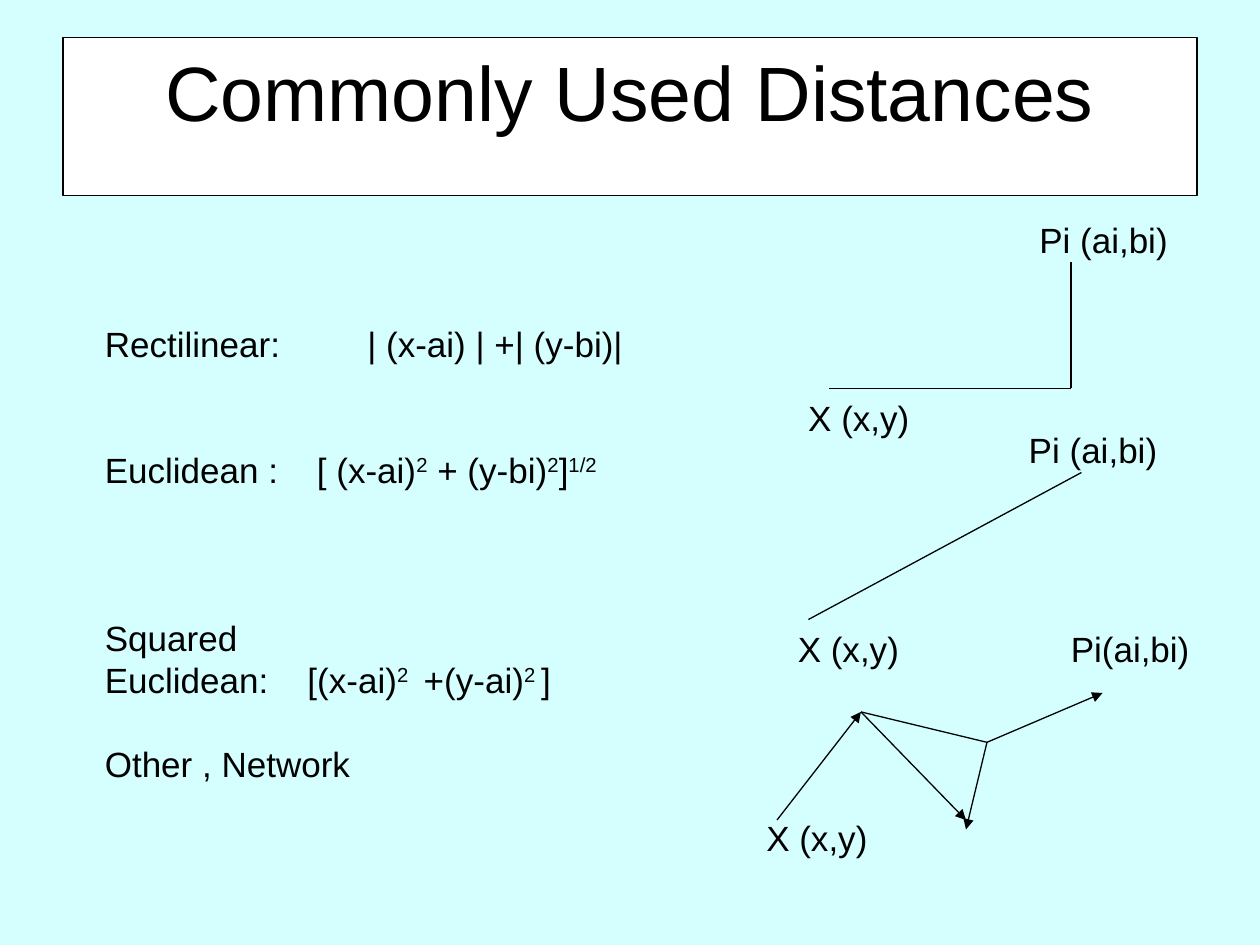
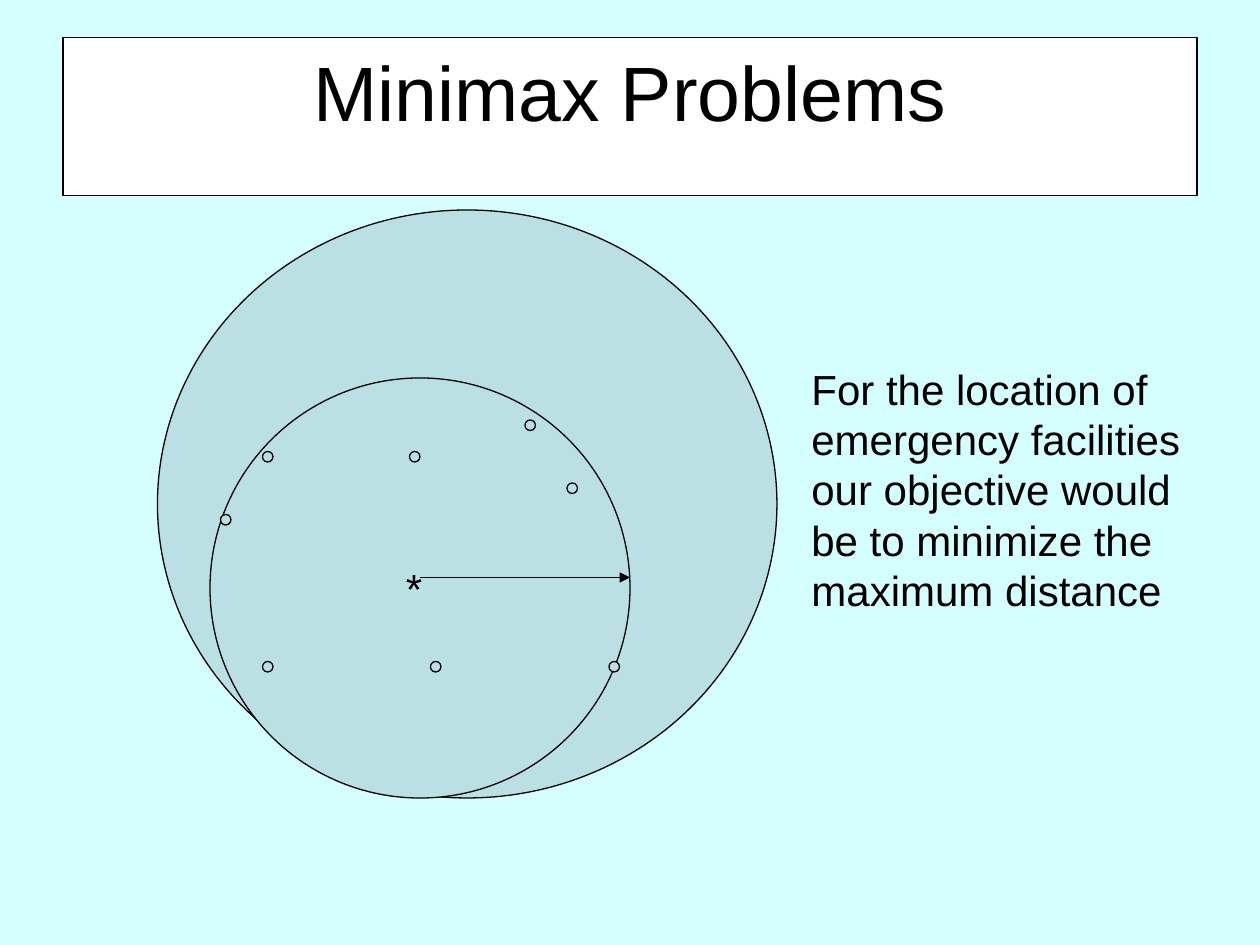
from pptx import Presentation
from pptx import util as u
from pptx.dml.color import RGBColor
from pptx.enum import shapes, text
from pptx.oxml import ns
from lxml import etree

EMU_PER_PX = 7620  # 120 px to the inch
FONT = "Arial"
COLORS = {"paper": "D5FFFF", "band": "FFFFFF", "ink": "000000", "disc": "BBE0E3"}
TITLE_BOX = (60, 36, 1080, 150)
LABEL_HEIGHT = 53


def px(value):
    return u.Emu(value * EMU_PER_PX)


def color(name):
    return RGBColor.from_string(COLORS[name])


def outline(item):
    item.line.color.rgb = color("ink")
    item.line.width = u.Pt(0.75)


def write(shape, lines, size=20, align=text.PP_ALIGN.LEFT,
          anchor=text.MSO_ANCHOR.TOP, wrap=False, gaps=(), tabs=()):
    """Fill a shape with paragraphs; text between ^ marks is superscript."""
    frame = shape.text_frame
    frame.word_wrap = wrap
    frame.auto_size = text.MSO_AUTO_SIZE.NONE
    frame.vertical_anchor = anchor
    for index, line in enumerate(lines):
        para = frame.paragraphs[0] if index == 0 else frame.add_paragraph()
        para.alignment = align
        para.line_spacing = u.Pt(size * 1.2)
        para.space_before = u.Pt(gaps[index] if gaps else 0)
        if tabs and tabs[index]:
            tab_list = etree.SubElement(para._p.get_or_add_pPr(), ns.qn("a:tabLst"))
            etree.SubElement(tab_list, ns.qn("a:tab"),
                             pos=str(px(tabs[index])), algn="l")
        for number, piece in enumerate(line.split("^")):
            if not piece:
                continue
            span = para.add_run()
            span.text = piece
            span.font.name = FONT
            span.font.size = u.Pt(size)
            span.font.color.rgb = color("ink")
            if number % 2:
                span._r.get_or_add_rPr().set("baseline", "30000")


def add_text(page, box, lines, **style):
    shape = page.shapes.add_textbox(*map(px, box))
    write(shape, lines, **style)


def add_circle(page, left, top, width, height):
    circle = page.shapes.add_shape(shapes.MSO_SHAPE.OVAL,
                                   *map(px, (left, top, width, height)))
    circle.shadow.inherit = False
    circle.fill.solid()
    circle.fill.fore_color.rgb = color("disc")
    outline(circle)
    return circle


def add_line(canvas, origin, start, end, arrow=False):
    left, top = origin
    line = canvas.add_connector(
        shapes.MSO_CONNECTOR.STRAIGHT,
        px(left + start[0]), px(top + start[1]), px(left + end[0]), px(top + end[1]))
    outline(line)
    if arrow:
        etree.SubElement(line.line._get_or_add_ln(), ns.qn("a:tailEnd"), type="triangle")
    etree.SubElement(line._element.spPr, ns.qn("a:effectLst"))


def add_page(deck, title):
    page = deck.slides.add_slide(deck.slide_layouts[5])
    band = page.shapes.title
    band.left, band.top, band.width, band.height = map(px, TITLE_BOX)
    band.fill.solid()
    band.fill.fore_color.rgb = color("band")
    outline(band)
    write(band, [title], size=44, align=text.PP_ALIGN.CENTER, wrap=True)
    return page


# Distance formulas
def draw_formulas(page, box):
    rows = [  # text, space before in points, tab stop in px
        ("Rectilinear:\t| (x-ai) | +| (y-bi)|", 0, 250),
        ("Euclidean :\t[ (x-ai)^2^ + (y-bi)^2^]^1/2^", 48, 202),
        ("Squared", 72, None),
        ("Euclidean:\t[(x-ai)^2 ^ +(y-ai)^2 ^]", 0, 193),
        ("Other , Network", 24, None),
    ]
    lines, gaps, tabs = zip(*rows)
    add_text(page, box, lines, wrap=True, gaps=gaps, tabs=tabs)


# Sketch of a route between X and Pi
def draw_route(page, origin, segments, labels, grouped=False):
    canvas = page.shapes.add_group_shape().shapes if grouped else page.shapes
    for segment in segments:
        add_line(canvas, origin, *segment)
    for label, left, top, width in labels:
        add_text(page, (origin[0] + left, origin[1] + top, width, LABEL_HEIGHT), [label])


def build_distances(deck):
    page = add_page(deck, "Commonly Used Distances")
    draw_formulas(page, (88, 301, 520, 452))

    # Rectilinear route
    corner = (270, 170)
    draw_route(page, (750, 200),
               [((40, 170), corner), (corner, (270, 50))],
               [("X (x,y)", 8, 172, 120), ("Pi (ai,bi)", 228, 2, 146)])

    # Euclidean route
    draw_route(page, (740, 400),
               [((30, 190), (290, 50))],
               [("X (x,y)", 8, 192, 120), ("Pi (ai,bi)", 228, 2, 146)])

    # Network route
    fork, hub = (110, 88), (230, 117)
    draw_route(page, (710, 590),
               [((30, 191), fork, True), (fork, hub), (hub, (210, 200), True),
                (fork, (210, 191), True), (hub, (340, 70), True)],
               [("X (x,y)", 8, 182, 120), ("Pi(ai,bi)", 298, 2, 137)],
               grouped=True)


# Covering circles with demand points and radius
def draw_cover(page, origin):
    left, top = origin
    add_circle(page, left, top, 590, 560)
    inner = add_circle(page, left + 50, top + 160, 400, 400)
    write(inner, ["* "], size=24, align=text.PP_ALIGN.CENTER,
          anchor=text.MSO_ANCHOR.MIDDLE)
    demand_points = [(350, 200), (60, 290), (430, 430), (240, 230),
                     (390, 260), (100, 430), (100, 230), (260, 430)]
    for across, down in demand_points:
        add_circle(page, left + across, top + down, 10, 10)
    add_line(page.shapes, origin, (250, 350), (450, 350), arrow=True)


def build_minimax(deck):
    page = add_page(deck, "Minimax Problems")
    draw_cover(page, (150, 200))
    add_text(page, (761, 340, 374, 252),
             ["For the location of", "emergency facilities", "our objective would",
              "be to minimize the", "maximum distance"], size=24)


def main():
    deck = Presentation()
    deck.slide_width, deck.slide_height = px(1200), px(900)
    backdrop = deck.slide_master.background.fill
    backdrop.solid()
    backdrop.fore_color.rgb = color("paper")
    build_distances(deck)
    build_minimax(deck)
    deck.save("out.pptx")


if __name__ == "__main__":
    main()
